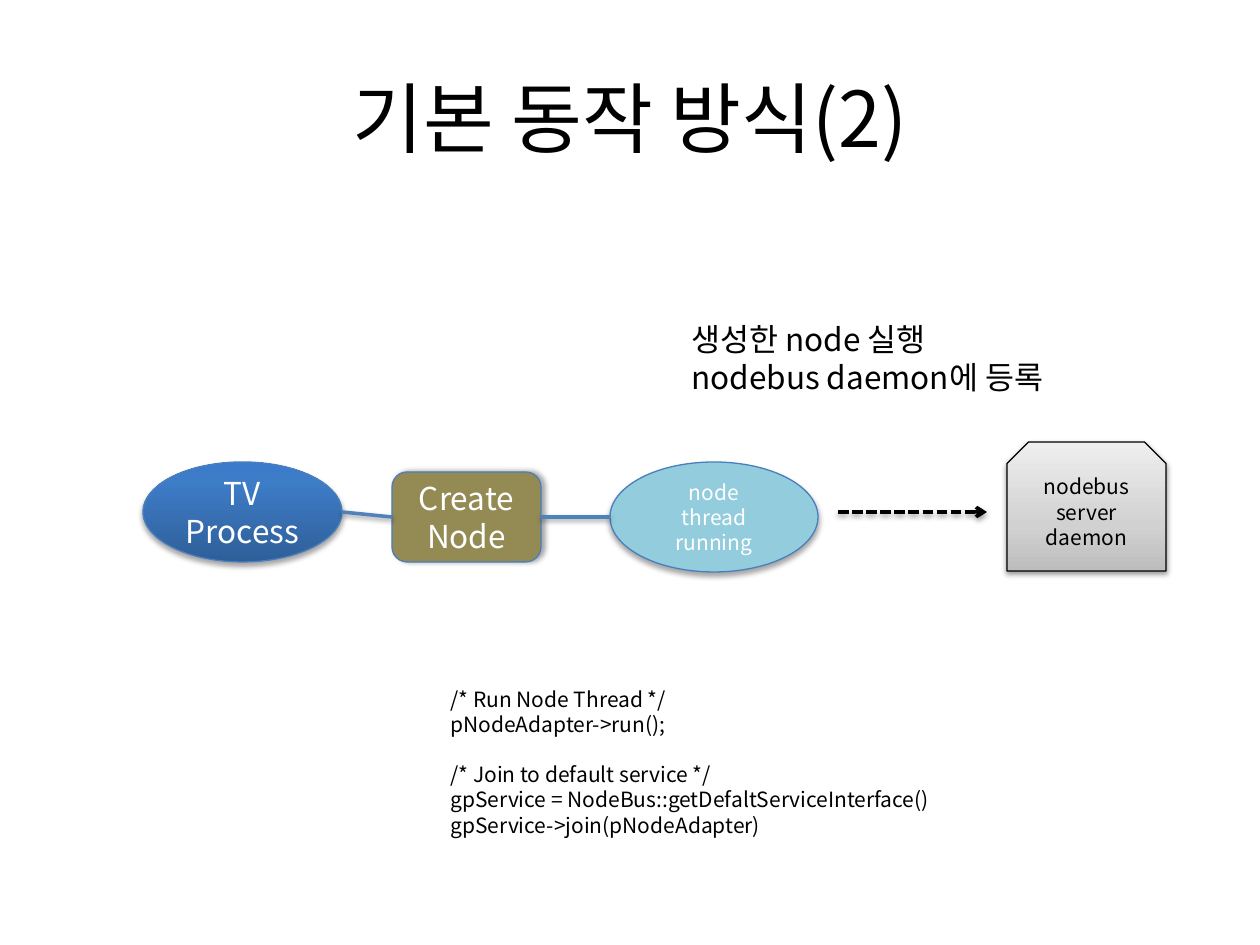
"""Build the slide that shows how a node runs and registers with the daemon."""
from copy import deepcopy
from dataclasses import dataclass
from typing import Any, Optional, Union

from lxml import etree
from pptx import Presentation
from pptx import util as u
from pptx.dml.color import RGBColor
from pptx.enum import dml, shapes, text
from pptx.oxml import ns

PX = 914400 / 126


@dataclass(frozen=True)
class Theme:
    font: str = "Noto Sans CJK KR"
    black: str = "000000"
    white: str = "FFFFFF"
    outline: str = "4B7EBC"
    link: str = "4F81BD"
    olive: str = "948A54"
    aqua: str = "93CDDD"
    blues: tuple = ((0, "2F5F99"), (0.8, "3D7CC7"), (1, "3A7CCB"))
    greys: tuple = ((0, "BDBDBD"), (0.35, "D1D1D1"), (1, "EEEEEE"))
    title: int = 44
    body: int = 18
    small: int = 12
    thin: float = 0.75
    thick: float = 2


T = Theme()


@dataclass(frozen=True)
class Shadow:
    alpha: int = 35
    dist: float = 1.8
    angle: int = 90


LINK_SHADOW = Shadow(38, 1.6)


@dataclass(frozen=True)
class Label:
    box: tuple[int, int, int, int]
    words: str
    size: int
    centred: bool = False
    gap_before: Optional[int] = None


@dataclass(frozen=True)
class Node:
    kind: Any
    box: tuple[int, int, int, int]
    words: str
    fill: Union[str, tuple]
    size: int
    ink: str = T.white
    outline: str = T.outline
    shadow: Shadow = Shadow()


@dataclass(frozen=True)
class Link:
    ends: tuple[int, int, int, int]
    color: str = T.link
    arrow: bool = False


LABELS = [
    Label((63, 38, 1134, 158), "기본 동작 방식(2)", T.title, centred=True),
    Label((679, 314, 456, 89), "생성한 node 실행\nnodebus daemon에 등록", T.body),
    Label((438, 680, 778, 165),
          "/* Run Node Thread */\npNodeAdapter->run();\n"
          "/* Join to default service */\n"
          "gpService = NodeBus::getDefaltServiceInterface()\n"
          "gpService->join(pNodeAdapter)", T.small, gap_before=2),
]
KIND = shapes.MSO_SHAPE
NODES = [
    Node(KIND.OVAL, (143, 462, 199, 100), "TV\nProcess", T.blues, T.body),
    Node(KIND.ROUNDED_RECTANGLE, (392, 472, 149, 90), "Create\nNode", T.olive,
         T.body, shadow=Shadow(angle=0)),
    Node(KIND.OVAL, (610, 462, 208, 110), "node\nthread\nrunning", T.aqua, T.small),
    Node(KIND.SNIP_2_SAME_RECTANGLE, (1007, 442, 159, 129),
         "nodebus\nserver\ndaemon", T.greys, T.small, T.black, T.black, LINK_SHADOW),
]
LINKS = [
    Link((342, 512, 392, 517)),
    Link((541, 517, 610, 517)),
    Link((838, 512, 987, 512), T.black, arrow=True),
]


def emu(px: int) -> int:
    """Turn pixels into EMU."""
    return u.Emu(round(px * PX))


def rgb(color: str) -> RGBColor:
    """Read a hex colour."""
    return RGBColor.from_string(color)


def add_child(parent: Any, tag: str, **attrs: Any) -> Any:
    """Append a DrawingML element."""
    values = {k: str(v) for k, v in attrs.items()}
    return etree.SubElement(parent, ns.qn(tag), values)


def add_shadow(s: Any, shadow: Shadow) -> None:
    """Give a shape or connector its soft black shadow."""
    effects = add_child(s._element.spPr, "a:effectLst")
    outer = add_child(effects, "a:outerShdw", blurRad=u.Pt(3.1), dist=u.Pt(shadow.dist),
                      dir=shadow.angle * 60000, rotWithShape=0)
    color = add_child(outer, "a:srgbClr", val=T.black)
    add_child(color, "a:alpha", val=shadow.alpha * 1000)


def write(tf: Any, words: str, size: int, ink: str, centred: bool) -> None:
    """Fill a text frame and format its runs."""
    tf.text = words
    tf.word_wrap = True
    tf.vertical_anchor = text.MSO_ANCHOR.MIDDLE if centred else text.MSO_ANCHOR.TOP
    for p in tf.paragraphs:
        p.alignment = text.PP_ALIGN.CENTER if centred else text.PP_ALIGN.LEFT
        for r in p.runs:
            r.font.size = u.Pt(size)
            r.font.name = T.font
            r.font.color.rgb = rgb(ink)
            add_child(r._r.get_or_add_rPr(), "a:ea", typeface=T.font)


def paint(s: Any, fill: Union[str, tuple]) -> None:
    """Fill a shape with one colour or an upward gradient."""
    if isinstance(fill, str):
        s.fill.solid()
        s.fill.fore_color.rgb = rgb(fill)
        return
    s.fill.gradient()
    s.fill.gradient_angle = 90
    stops = s._element.spPr.find(".//" + ns.qn("a:gsLst"))
    for _ in range(len(fill) - len(stops)):
        stops.append(deepcopy(stops[-1]))
    for stop, (position, color) in zip(s.fill.gradient_stops, fill):
        stop.position = position
        stop.color.rgb = rgb(color)


def draw_label(sp: Any, label: Label) -> None:
    """Draw a text box."""
    tf = sp.add_textbox(*map(emu, label.box)).text_frame
    write(tf, label.words, label.size, T.black, label.centred)
    if label.gap_before is not None:
        tf.paragraphs[label.gap_before].space_before = u.Pt(14.4)


def draw_node(sp: Any, node: Node) -> None:
    """Draw a filled shape with its caption."""
    s = sp.add_shape(node.kind, *map(emu, node.box))
    paint(s, node.fill)
    s.line.color.rgb = rgb(node.outline)
    s.line.width = u.Pt(T.thin)
    add_shadow(s, node.shadow)
    write(s.text_frame, node.words, node.size, node.ink, centred=True)


def draw_link(sp: Any, link: Link) -> None:
    """Draw a plain line or a dashed arrow."""
    s = sp.add_connector(shapes.MSO_CONNECTOR.STRAIGHT, *map(emu, link.ends))
    s.line.color.rgb = rgb(link.color)
    s.line.width = u.Pt(T.thick)
    if link.arrow:
        s.line.dash_style = dml.MSO_LINE.SQUARE_DOT
        add_child(s.line._get_or_add_ln(), "a:tailEnd", type="arrow")
    add_shadow(s, LINK_SHADOW)


def main() -> None:
    """Build and save the slide."""
    prs = Presentation()
    prs.slide_width, prs.slide_height = emu(1260), emu(945)
    sp = prs.slides.add_slide(prs.slide_layouts[6]).shapes
    for items, draw in ((LABELS, draw_label), (NODES, draw_node), (LINKS, draw_link)):
        for item in items:
            draw(sp, item)
    prs.save("out.pptx")


if __name__ == "__main__":
    main()
